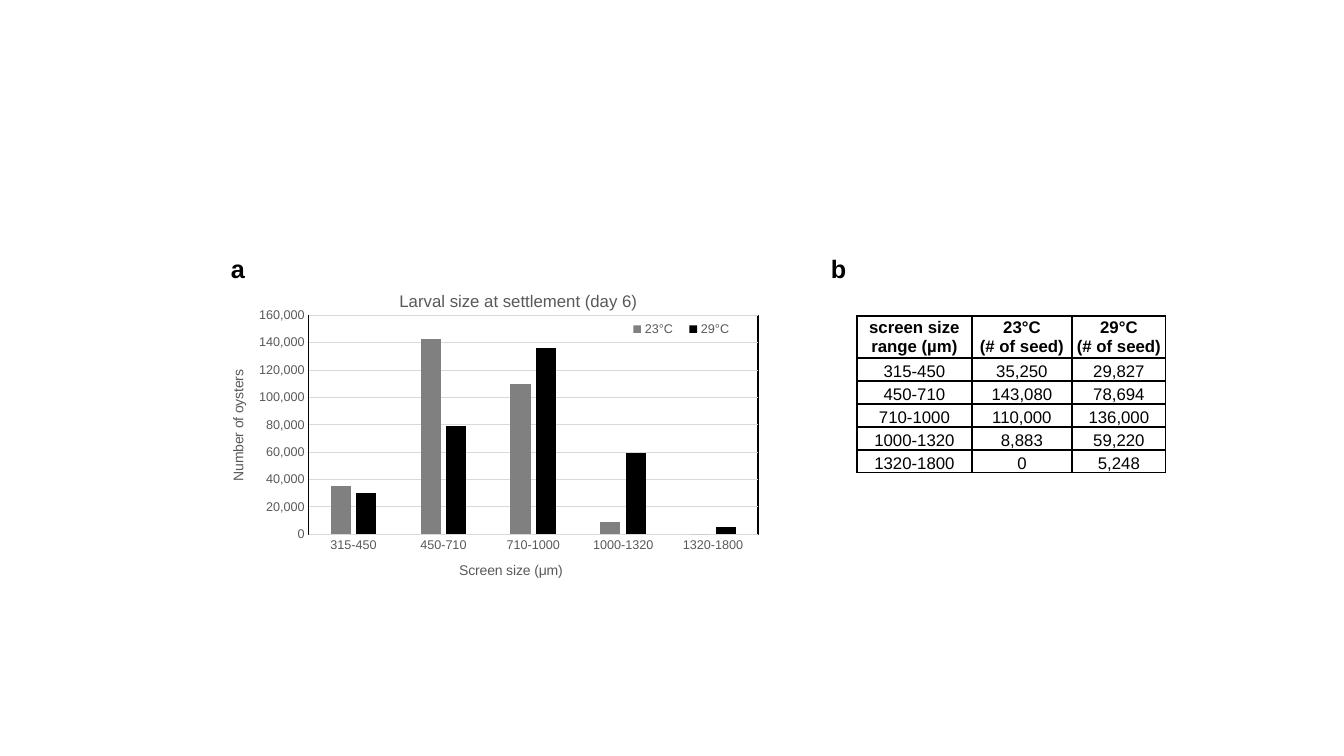
from pptx import Presentation
from pptx import util as u
from pptx.chart import data as chart_data
from pptx.dml import color
from pptx.enum import chart as ch, text
from pptx.oxml import ns, parse_xml

FONT = "Arial"
BLACK, GRAY, TEXT_GRAY, RULE_GRAY = "000000", "808080", "595959", "D9D9D9"
HEADINGS = ["screen size\nrange (µm)", "23°C\n(# of seed)", "29°C\n(# of seed)"]
SIZE_RANGES = ["315-450", "450-710", "710-1000", "1000-1320", "1320-1800"]
SEED_COUNTS = {
    "23°C": [35250, 143080, 110000, 8883, 0],
    "29°C": [29827, 78694, 136000, 59220, 5248],
}


def px(length):
    return u.Emu(round(length * 914400 / 100.8))


def rgb(value):
    return color.RGBColor.from_string(value)


def style_font(font, size, fill, bold=False):
    font.name = FONT
    font.size = u.Pt(size)
    font.bold = bold
    font.color.rgb = rgb(fill)


def write(frame, content, size=12, fill=BLACK, bold=False, align=None):
    paragraph = frame.paragraphs[0]
    paragraph.text = content
    paragraph.alignment = align
    for run in paragraph.runs:
        style_font(run.font, size, fill, bold)
    for line_break in paragraph._p.findall(ns.qn("a:br")):
        line_break.append(parse_xml(f'<a:rPr {ns.nsdecls("a")} sz="{size * 100}"/>'))


def outline_xml(tag, fill, width):
    return parse_xml(
        f'<a:{tag} {ns.nsdecls("a")} w="{u.Pt(width)}"><a:solidFill>'
        f'<a:srgbClr val="{fill}"/></a:solidFill></a:{tag}>')


def place(part, after=None, target="", **fractions):
    for layout in part.findall(ns.qn("c:layout")):
        part.remove(layout)
    modes = "".join(f'<c:{key}Mode val="edge"/>' for key in "xy")
    values = "".join(f'<c:{key} val="{value}"/>' for key, value in fractions.items())
    layout = parse_xml(
        f'<c:layout {ns.nsdecls("c")}><c:manualLayout>{target}{modes}{values}'
        f'</c:manualLayout></c:layout>')
    if after:
        part.find(ns.qn(after)).addnext(layout)
    else:
        part.insert(0, layout)


def add_panel_label(slide, letter, left):
    label = slide.shapes.add_textbox(px(left), px(248), px(35), px(40))
    label.text_frame.word_wrap = False
    label.text_frame.auto_size = text.MSO_AUTO_SIZE.SHAPE_TO_FIT_TEXT
    write(label.text_frame, letter, size=18, bold=True)


def add_title(owner, content, size, x, y):
    write(owner.text_frame, content, size=size, fill=TEXT_GRAY)
    place(owner.element, after="c:tx", x=x, y=y)


def format_axis(axis):
    axis.major_tick_mark = axis.minor_tick_mark = ch.XL_TICK_MARK.NONE
    style_font(axis.tick_labels.font, 9, TEXT_GRAY)


def add_settlement_chart(slide):
    counts = chart_data.CategoryChartData(number_format="#,##0")
    counts.categories = SIZE_RANGES
    for temperature, values in SEED_COUNTS.items():
        counts.add_series(temperature, [round(value, -3) for value in values])
    chart = slide.shapes.add_chart(
        ch.XL_CHART_TYPE.COLUMN_CLUSTERED, px(221), px(279), px(548), px(304), counts).chart
    style_font(chart.font, 10, BLACK)
    add_title(chart.chart_title, "Larval size at settlement (day 6)", 12, 0.32, 0.03)

    bars = chart.plots[0]
    bars.gap_width = 219
    bars.overlap = -27
    bars.vary_by_categories = False
    for series, fill in zip(bars.series, (GRAY, BLACK)):
        series.format.fill.solid()
        series.format.fill.fore_color.rgb = rgb(fill)

    sizes, oysters = chart.category_axis, chart.value_axis
    format_axis(sizes)
    format_axis(oysters)
    add_title(sizes.axis_title, "Screen size (μm)", 10, 0.43, 0.92)
    add_title(oysters.axis_title, "Number of oysters", 10, 0.01, 0.29)
    oysters.minimum_scale = 0
    oysters.maximum_scale = 160000
    oysters.major_unit = 20000
    oysters.tick_labels.number_format = "#,##0"
    oysters.tick_labels.number_format_is_linked = False
    oysters.format.line.fill.background()
    for line in (sizes.format.line, oysters.major_gridlines.format.line):
        line.color.rgb = rgb(RULE_GRAY)
        line.width = u.Pt(0.75)

    chart.has_legend = True
    chart.legend.position = ch.XL_LEGEND_POSITION.BOTTOM
    chart.legend.include_in_layout = False
    style_font(chart.legend.font, 9, TEXT_GRAY)
    legend = chart.element.find(".//" + ns.qn("c:legend"))
    place(legend, after="c:legendPos", x=0.73, y=0.13, w=0.22, h=0.07)

    plot_area = chart.element.find(".//" + ns.qn("c:plotArea"))
    place(plot_area, target='<c:layoutTarget val="inner"/>', x=0.16, y=0.12, w=0.82, h=0.72)
    frame = parse_xml(f'<c:spPr {ns.nsdecls("c", "a")}><a:noFill/></c:spPr>')
    frame.append(outline_xml("ln", BLACK, 1))
    plot_area.append(frame)


def fill_cell(cell, content, heading):
    cell.margin_left = cell.margin_right = cell.margin_top = px(1)
    cell.margin_bottom = 0
    cell.vertical_anchor = text.MSO_ANCHOR.MIDDLE if heading else text.MSO_ANCHOR.BOTTOM
    write(cell.text_frame, content, bold=heading, align=text.PP_ALIGN.CENTER)
    properties = cell._tc.get_or_add_tcPr()
    for side in ("lnL", "lnR", "lnT", "lnB"):
        properties.append(outline_xml(side, BLACK, 1))
    cell.fill.background()


def add_seed_table(slide):
    rows = [HEADINGS]
    for size_range, *values in zip(SIZE_RANGES, *SEED_COUNTS.values()):
        rows.append([size_range] + [f"{value:,}" for value in values])
    widths = (115, 100, 94)
    heights = [42] + [23] * len(SIZE_RANGES)
    table = slide.shapes.add_table(
        len(rows), len(widths), px(857), px(316), px(sum(widths)), px(sum(heights))).table
    table.first_row = table.horz_banding = False
    for column, width in zip(table.columns, widths):
        column.width = px(width)
    for row, height, contents in zip(table.rows, heights, rows):
        row.height = px(height)
        for cell, content in zip(row.cells, contents):
            fill_cell(cell, content, heading=contents is HEADINGS)


def main():
    deck = Presentation()
    deck.slide_width, deck.slide_height = px(1344), px(756)
    slide = deck.slides.add_slide(deck.slide_layouts[6])
    add_settlement_chart(slide)
    add_panel_label(slide, "a", 221)
    add_panel_label(slide, "b", 821)
    add_seed_table(slide)
    deck.save("out.pptx")


if __name__ == "__main__":
    main()
